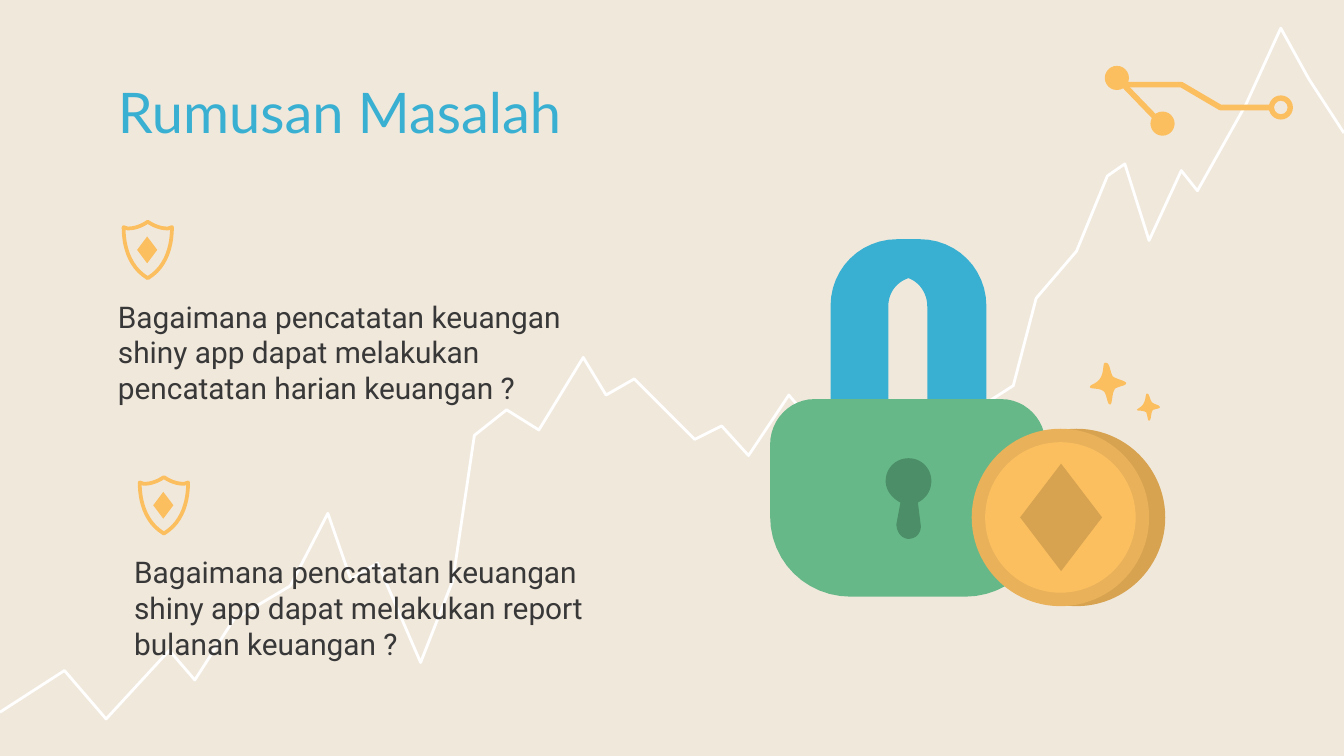
from pptx import Presentation
from pptx.dml.color import RGBColor
from pptx.enum.shapes import MSO_SHAPE
from pptx.util import Inches, Pt

OVAL = MSO_SHAPE.OVAL
DONUT = MSO_SHAPE.DONUT
DIAMOND = MSO_SHAPE.DIAMOND
CREAM = RGBColor(0xF1, 0xE8, 0xDC)
WHITE = RGBColor(0xFF, 0xFF, 0xFF)
BLUE = RGBColor(0x39, 0xB0, 0xD1)
GREEN = RGBColor(0x66, 0xB8, 0x88)
DARK_GREEN = RGBColor(0x4B, 0x8E, 0x67)
GOLD = RGBColor(0xFB, 0xBF, 0x60)
RIM_GOLD = RGBColor(0xE8, 0xB1, 0x5A)
DARK_GOLD = RGBColor(0xD7, 0xA3, 0x50)
GREY = RGBColor(0x38, 0x38, 0x38)
CURVE_STEPS = 12

presentation = Presentation()
presentation.slide_width = Inches(10)
presentation.slide_height = Inches(10) * 9 // 16
slide = presentation.slides.add_slide(presentation.slide_layouts[6])
slide.background.fill.solid()
slide.background.fill.fore_color.rgb = CREAM
shapes = slide.shapes


def add_outline(path, color, line_width=None, closed=True, dx=0, dy=0):
    points = [path[0]]
    for segment in path[1:]:
        if len(segment) == 2:
            points.append(segment)
            continue
        x0, y0 = points[-1]
        x1, y1, x2, y2, x3, y3 = segment
        for step in range(1, CURVE_STEPS + 1):
            t = step / CURVE_STEPS
            a, b, c, d = (1 - t) ** 3, 3 * t * (1 - t) ** 2, 3 * t * t * (1 - t), t ** 3
            points.append((a * x0 + b * x1 + c * x2 + d * x3,
                           a * y0 + b * y1 + c * y2 + d * y3))
    points = [(Inches(x + dx), Inches(y + dy)) for x, y in points]
    builder = shapes.build_freeform(*points[0])
    builder.add_line_segments(points[1:], close=closed)
    shape = builder.convert_to_shape()
    shape.shadow.inherit = False
    if line_width:
        shape.fill.background()
        shape.line.color.rgb = color
        shape.line.width = Pt(line_width)
    else:
        shape.fill.solid()
        shape.fill.fore_color.rgb = color
        shape.line.fill.background()


def add_preset(kind, left, top, width, height, color):
    shape = shapes.add_shape(kind, Inches(left), Inches(top), Inches(width), Inches(height))
    shape.shadow.inherit = False
    shape.fill.solid()
    shape.fill.fore_color.rgb = color
    shape.line.fill.background()
    return shape


trend = [
    (0, 5.3), (0.48, 4.99), (0.79, 5.35), (1.26, 4.84), (1.45, 5.06), (1.74, 4.61),
    (2.16, 4.36), (2.44, 3.82), (2.61, 4.31), (2.81, 4.19), (3.13, 4.93), (3.37, 4.32),
    (3.53, 3.24), (3.77, 3.05), (4.01, 3.2), (4.34, 2.66), (4.51, 2.94), (4.72, 2.82),
    (5.17, 3.27), (5.37, 3.17), (5.57, 3.39), (5.87, 2.94), (6.4, 3.57), (6.6, 4.03),
    (6.77, 4.15), (7.01, 3.21), (7.54, 2.87), (7.71, 2.22), (8.01, 1.87), (8.24, 1.31),
    (8.37, 1.22), (8.55, 1.79), (8.79, 1.27), (8.91, 1.42), (9.27, 0.78), (9.53, 0.21),
    (9.74, 0.59), (10, 0.99),
]
add_outline(trend, WHITE, 1.5, closed=False)

add_outline([(8.36, 0.63), (8.79, 0.63), (9.08, 0.8), (9.47, 0.8)], GOLD, 3, closed=False)
add_outline([(8.34, 0.61), (8.61, 0.89)], GOLD, 3, closed=False)
for left, top in [(8.22, 0.49), (8.56, 0.83)]:
    add_preset(OVAL, left, top, 0.18, 0.18, GOLD)
ring = add_preset(DONUT, 9.44, 0.71, 0.18, 0.18, GOLD)
ring.adjustments[0] = 0.22

texts = [
    (0.78, 0.48, 8.44, 0.63, "Rumusan Masalah", "Lato", 30, BLUE),
    (0.78, 2.12, 3.94, 0.73, "Bagaimana pencatatan keuangan shiny app dapat melakukan "
     "pencatatan harian keuangan ?", "Roboto", 16, GREY),
    (0.9, 4.02, 3.94, 0.73, "Bagaimana pencatatan keuangan shiny app dapat melakukan "
     "report bulanan keuangan ?", "Roboto", 16, GREY),
]
for left, top, width, height, text, font_name, size, color in texts:
    box = shapes.add_textbox(Inches(left), Inches(top), Inches(width), Inches(height))
    frame = box.text_frame
    frame.word_wrap = True
    frame.margin_left = frame.margin_right = Inches(0.1)
    frame.margin_top = frame.margin_bottom = Inches(0.1)
    paragraph = frame.paragraphs[0]
    paragraph.text = text
    paragraph.font.name = font_name
    paragraph.font.size = Pt(size)
    paragraph.font.color.rgb = color

shield = [
    (0.2, 0.02), (0.23, 0.04, 0.28, 0.07, 0.35, 0.07), (0.38, 0.06),
    (0.38, 0.18, 0.35, 0.35, 0.2, 0.44), (0.05, 0.35, 0.02, 0.18, 0.02, 0.06),
    (0.05, 0.07), (0.12, 0.07, 0.17, 0.04, 0.2, 0.02),
]
for left, top in [(0.9, 1.63), (1.02, 3.53)]:
    add_outline(shield, GOLD, 2, dx=left, dy=top)
    add_preset(DIAMOND, left + 0.12, top + 0.13, 0.15, 0.2, GOLD)

shackle = [
    (6.68, 1.78), (6.4, 1.78, 6.18, 2, 6.18, 2.28), (6.18, 2.98), (6.61, 2.98),
    (6.61, 2.28), (6.61, 2.18, 6.67, 2.1, 6.76, 2.07),
    (6.84, 2.1, 6.9, 2.18, 6.9, 2.28), (6.9, 2.98), (7.34, 2.98), (7.34, 2.28),
    (7.34, 2, 7.12, 1.78, 6.84, 1.78),
]
add_outline(shackle, BLUE)
lock_body = [
    (6.06, 2.97), (5.88, 2.97, 5.73, 3.12, 5.73, 3.31), (5.73, 3.84),
    (5.73, 4.18, 6, 4.44, 6.33, 4.44), (7.18, 4.44),
    (7.51, 4.44, 7.78, 4.18, 7.78, 3.84), (7.78, 3.31),
    (7.78, 3.12, 7.63, 2.97, 7.45, 2.97),
]
add_outline(lock_body, GREEN)
keyhole = [
    (6.76, 3.41), (6.67, 3.41, 6.59, 3.48, 6.59, 3.58), (6.59, 3.65, 6.64, 3.71, 6.7, 3.74),
    (6.67, 3.9), (6.67, 3.96, 6.71, 4.01, 6.76, 4.01), (6.82, 4.01, 6.86, 3.96, 6.85, 3.9),
    (6.83, 3.74), (6.89, 3.71, 6.93, 3.65, 6.93, 3.58), (6.93, 3.49, 6.86, 3.41, 6.76, 3.41),
]
add_outline(keyhole, DARK_GREEN)

coin_layers = [(7.35, 3.19, 1.32, DARK_GOLD), (7.23, 3.19, 1.32, RIM_GOLD),
               (7.33, 3.29, 1.12, GOLD)]
for left, top, size, color in coin_layers:
    add_preset(OVAL, left, top, size, size, color)
add_preset(DIAMOND, 7.59, 3.45, 0.61, 0.8, DARK_GOLD)

large_sparkle = [
    (8.23, 2.7), (8.2, 2.69, 8.22, 2.76, 8.19, 2.81), (8.16, 2.86, 8.11, 2.86, 8.11, 2.88),
    (8.11, 2.9, 8.19, 2.88, 8.22, 2.92), (8.24, 2.96, 8.24, 3.01, 8.26, 3.01),
    (8.28, 3.01, 8.27, 2.92, 8.3, 2.89), (8.34, 2.87, 8.38, 2.87, 8.38, 2.85),
    (8.37, 2.83, 8.3, 2.82, 8.28, 2.8), (8.26, 2.77, 8.26, 2.7, 8.23, 2.7),
]
small_sparkle = [
    (8.54, 2.93), (8.52, 2.92, 8.53, 2.97, 8.51, 3), (8.5, 3.03, 8.46, 3.04, 8.46, 3.05),
    (8.46, 3.06, 8.51, 3.05, 8.53, 3.07), (8.54, 3.1, 8.54, 3.13, 8.55, 3.13),
    (8.57, 3.13, 8.56, 3.07, 8.58, 3.05), (8.61, 3.04, 8.63, 3.04, 8.63, 3.03),
    (8.63, 3.01, 8.58, 3.01, 8.57, 2.99), (8.56, 2.98, 8.55, 2.93, 8.54, 2.93),
]
for sparkle in (large_sparkle, small_sparkle):
    add_outline(sparkle, GOLD)

presentation.save("out.pptx")
